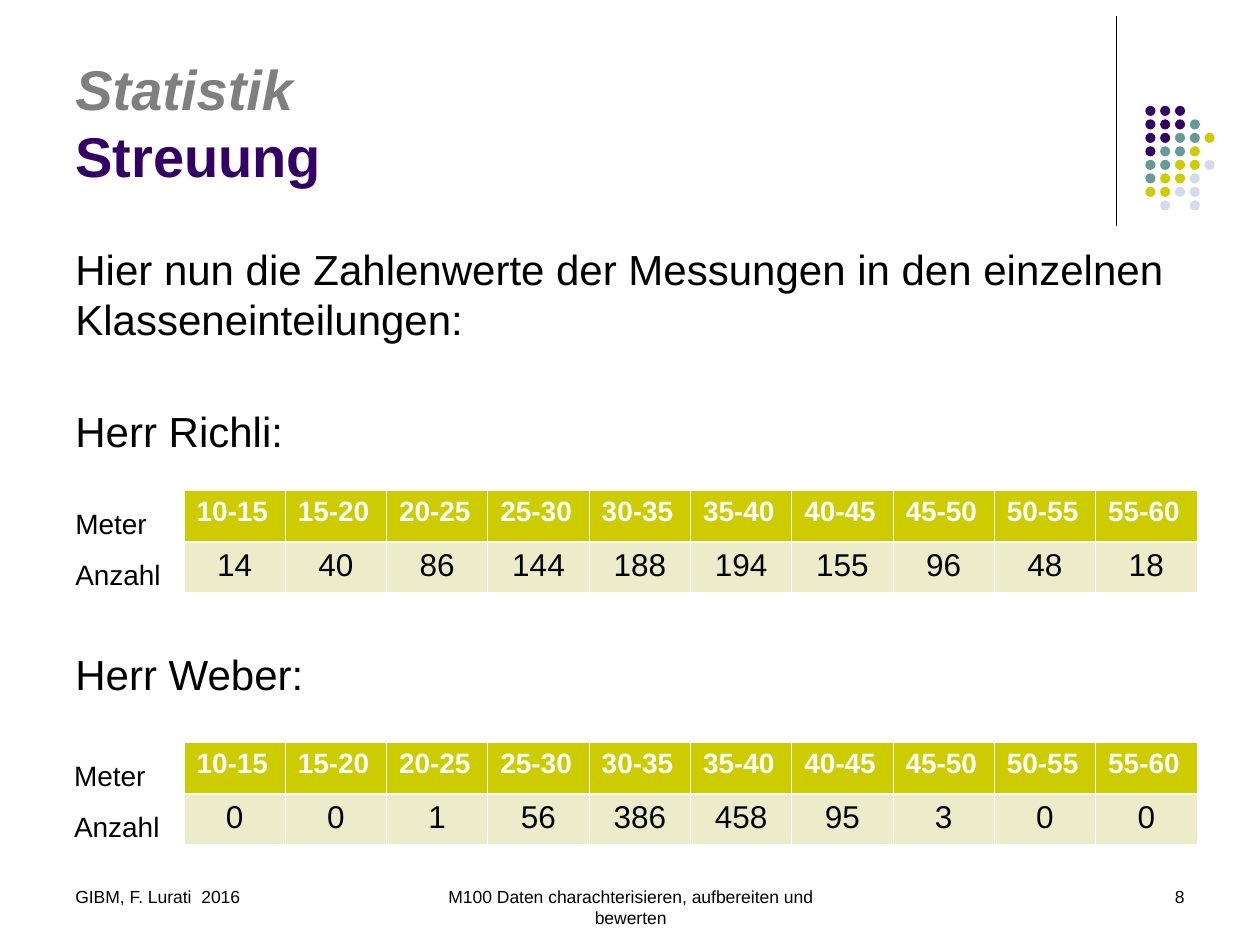
from dataclasses import dataclass

from lxml.etree import SubElement
from pptx import Presentation
from pptx.dml.color import RGBColor
from pptx.enum.shapes import MSO_CONNECTOR, MSO_SHAPE
from pptx.enum.text import MSO_ANCHOR as Anchor, PP_ALIGN as Align
from pptx.oxml.ns import qn
from pptx.util import Inches, Pt

FONT = "Arial"
COLORS = {
    "black": "000000", "white": "FFFFFF", "grey": "7F7F7F",
    "purple": "330066", "teal": "669999", "olive": "CCCC00",
    "lavender": "D8D8EC", "cream": "ECECCB",
}
DOT_COLORS = {"P": "purple", "T": "teal", "O": "olive", "L": "lavender"}
DOT_ROWS = ["PPP", "PPPT", "PPTTO", "PTTO", "TTOOL", "TOOL", "OOLL", ".L.L"]
CLASSES = [f"{low}-{low + 5}" for low in range(10, 60, 5)]


@dataclass
class Series:
    label_left: float
    top: float
    counts: list[int]


@dataclass
class Footer:
    left: float
    width: float
    text: str
    align: Align


SERIES = [
    Series(0.5, 3.89, [14, 40, 86, 144, 188, 194, 155, 96, 48, 18]),
    Series(0.49, 5.89, [0, 0, 1, 56, 386, 458, 95, 3, 0, 0]),
]
FOOTERS = [
    Footer(0.5, 2.33, "GIBM, F. Lurati\t2016", Align.LEFT),
    Footer(3.42, 3.17, "M100 Daten charachterisieren, aufbereiten und bewerten",
           Align.CENTER),
    Footer(7.17, 2.33, "8", Align.RIGHT),
]
# Paragraph text and the space before it in points
BODY = [
    ("Hier nun die Zahlenwerte der Messungen in den einzelnen "
     "Klasseneinteilungen:", 0),
    ("Herr Richli:", 35),
    ("Herr Weber:", 110),
]


def rgb(name: str) -> RGBColor:
    return RGBColor.from_string(COLORS[name])


def set_font(font, size: float, color: str, bold: bool = False,
             italic: bool = False) -> None:
    font.name, font.size = FONT, Pt(size)
    font.bold, font.italic = bold, italic
    font.color.rgb = rgb(color)


def add_text_frame(s, left: float, top: float, width: float, height: float):
    tf = s.shapes.add_textbox(Inches(left), Inches(top),
                              Inches(width), Inches(height)).text_frame
    tf.word_wrap = True
    return tf


def add_divider(s) -> None:
    line = s.shapes.add_connector(MSO_CONNECTOR.STRAIGHT, Inches(8.86),
                                  Inches(0.13), Inches(8.86), Inches(1.79))
    line.line.color.rgb = rgb("black")
    line.line.width = Pt(0.75)
    SubElement(line._element.spPr, qn("a:effectLst"))


def add_dots(s) -> None:
    group = s.shapes.add_group_shape()
    step_x, step_y = (9.56 - 9.09) / 4, (1.59 - 0.84) / 7
    for row, codes in enumerate(DOT_ROWS):
        for col, code in enumerate(codes):
            if code not in DOT_COLORS:
                continue
            dot = group.shapes.add_shape(
                MSO_SHAPE.OVAL, Inches(9.09 + col * step_x),
                Inches(0.84 + row * step_y), Inches(0.08), Inches(0.08))
            dot.shadow.inherit = False
            dot.fill.solid()
            dot.fill.fore_color.rgb = rgb(DOT_COLORS[code])
            dot.line.fill.background()


def add_title(s) -> None:
    tf = add_text_frame(s, 0.5, 0.13, 7.41, 1.42)
    tf.vertical_anchor = Anchor.BOTTOM
    p = tf.paragraphs[0]
    set_font(p.font, 32, "purple", bold=True)
    r = p.add_run()
    r.text = "Statistik"
    set_font(r.font, 32, "grey", bold=True, italic=True)
    p.add_line_break()
    r = p.add_run()
    r.text = "Streuung"
    set_font(r.font, 32, "purple", bold=True)


def add_body(s) -> None:
    tf = add_text_frame(s, 0.5, 1.88, 9, 4.82)
    for i, (text, space) in enumerate(BODY):
        p = tf.add_paragraph() if i else tf.paragraphs[0]
        p.text = text
        p.space_before = Pt(space)
        set_font(p.font, 24, "black")


def set_borders(cell, **widths: float) -> None:
    """Give a cell white borders, keyed L, R, T, B; call before filling it."""
    tc_pr = cell._tc.get_or_add_tcPr()
    for side, width in widths.items():
        ln = SubElement(tc_pr, qn(f"a:ln{side}"), w=str(Pt(width)))
        fill = SubElement(ln, qn("a:solidFill"))
        SubElement(fill, qn("a:srgbClr"), val=COLORS["white"])


def add_series(s, series: Series) -> None:
    """Draw one frequency table with its row labels."""
    table = s.shapes.add_table(2, len(CLASSES), Inches(1.46), Inches(series.top),
                               Inches(8.04), Inches(0.81)).table
    for row, height in zip(table.rows, (0.41, 0.4)):
        row.height = Inches(height)
    for col, values in enumerate(zip(CLASSES, series.counts)):
        for row, value in enumerate(values):
            header = row == 0
            cell = table.cell(row, col)
            set_borders(cell, L=0.45, R=0.45, T=0.45 if header else 1.47,
                        B=1.47 if header else 0.45)
            cell.fill.solid()
            cell.fill.fore_color.rgb = rgb("olive" if header else "cream")
            p = cell.text_frame.paragraphs[0]
            p.text = str(value)
            p.alignment = Align.LEFT if header else Align.CENTER
            set_font(p.font, 16 if header else 18,
                     "white" if header else "black", bold=header)

    tf = add_text_frame(s, series.label_left, series.top - 0.06, 0.97, 0.91)
    p = tf.paragraphs[0]
    p.text = "Meter\nAnzahl"
    p.line_spacing = Pt(29.2)
    set_font(p.font, 16, "black")


def add_footer(s, footer: Footer) -> None:
    p = add_text_frame(s, footer.left, 6.98, footer.width, 0.35).paragraphs[0]
    p.text = footer.text
    p.alignment = footer.align
    set_font(p.font, 10, "black")


def main() -> None:
    prs = Presentation()
    prs.slide_width, prs.slide_height = Inches(10), Inches(7.5)
    s = prs.slides.add_slide(prs.slide_layouts[6])
    add_divider(s)
    add_dots(s)
    add_title(s)
    add_body(s)
    for footer in FOOTERS:
        add_footer(s, footer)
    for series in SERIES:
        add_series(s, series)
    prs.save("out.pptx")


if __name__ == "__main__":
    main()
